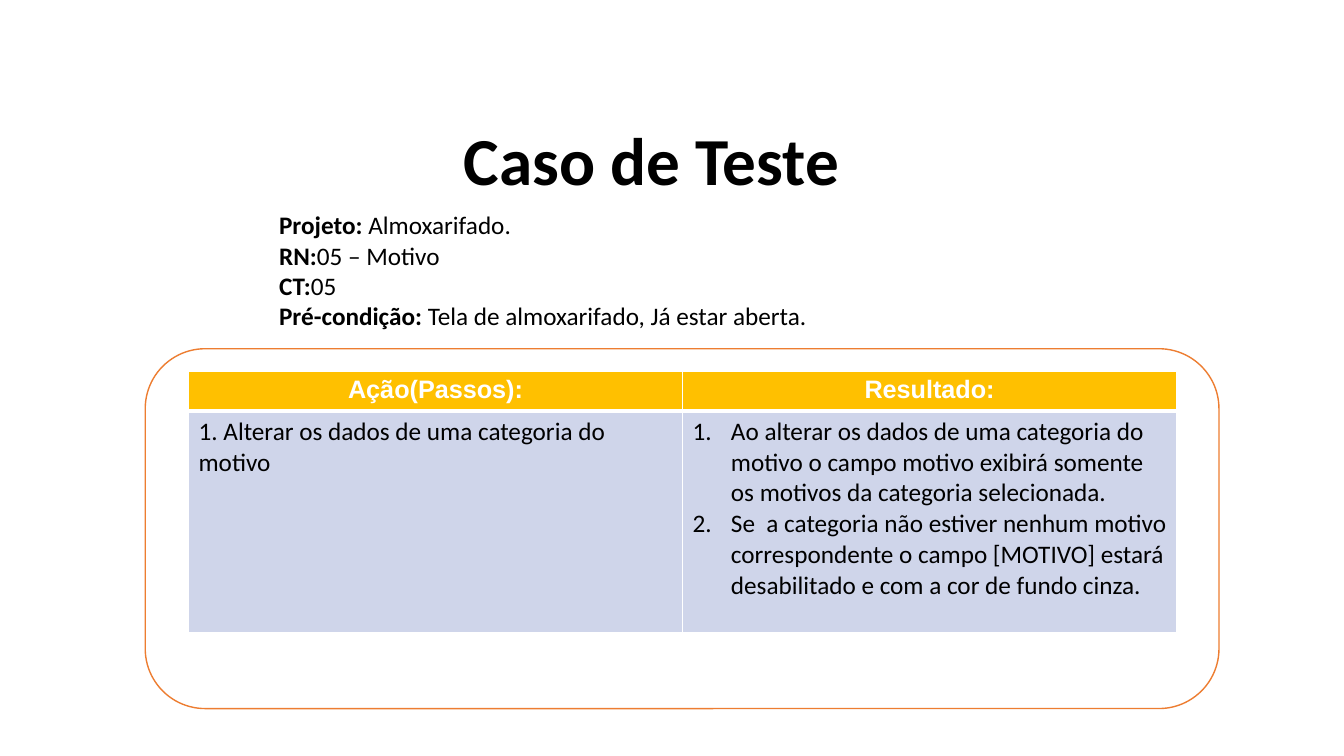
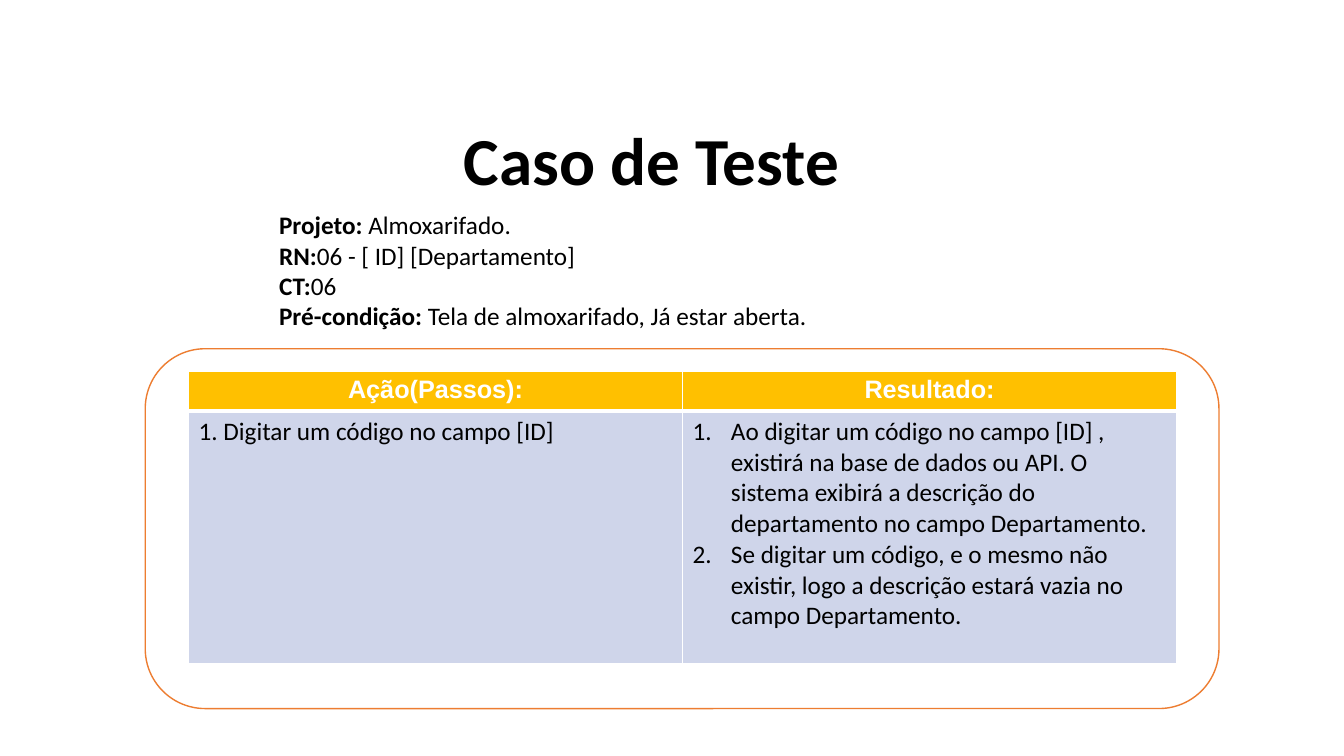
from dataclasses import dataclass

from lxml import etree
from pptx import Presentation
from pptx.dml.color import RGBColor
from pptx.enum.shapes import MSO_SHAPE
from pptx.enum.text import PP_ALIGN
from pptx.oxml.ns import qn
from pptx.util import Inches, Pt

ROUNDED = MSO_SHAPE.ROUNDED_RECTANGLE
LEFT, CENTER = PP_ALIGN.LEFT, PP_ALIGN.CENTER

TITLE = "Caso de Teste"
HEADERS = ("Ação(Passos):", "Resultado:")
PROJECT = "Almoxarifado."
PRECONDITION = "Tela de almoxarifado, Já estar aberta."
CASES = [
    {
        "rule": "05 – Motivo",
        "number": "05",
        "action": "1. Alterar os dados de uma categoria do motivo",
        "results": [
            "Ao alterar os dados de uma categoria do motivo o campo motivo "
            "exibirá somente os motivos da categoria selecionada.",
            "Se  a categoria não estiver nenhum motivo correspondente o campo "
            "[MOTIVO] estará desabilitado e com a cor de fundo cinza.",
        ],
        "body_height": 2.2,
    },
    {
        "rule": "06 - [ ID] [Departamento]",
        "number": "06",
        "action": "1. Digitar um código no campo [ID]",
        "results": [
            "Ao digitar um código no campo [ID] , existirá na base de dados ou "
            "API. O sistema exibirá a descrição do departamento no campo "
            "Departamento.",
            "Se digitar um código, e o mesmo não existir, logo a descrição "
            "estará vazia no campo Departamento.",
        ],
        "body_height": 2.5,
    },
]


@dataclass(frozen=True)
class Theme:
    text: str = "000000"
    white: str = "FFFFFF"
    outline: str = "ED7D31"
    header: str = "FFC000"
    body: str = "CFD5EA"
    font: str = "Calibri"
    header_font: str = "Arial"
    title_size: int = 48
    text_size: int = 18
    thin: int = 1
    thick: int = 3


THEME = Theme()
PANEL = (1.44, 3.46, 10.65, 3.57)
INFO = (2.67, 2.03, 8.4, 1.62)
TITLE_BOX = (4.5, 1.12, 4.48, 0.91)
TABLE_LEFT, TABLE_TOP, TABLE_WIDTH, HEADER_HEIGHT = 1.87, 3.68, 9.8, 0.39
LIST_INDENT = 0.38


def box(at):
    return [Inches(v) for v in at]


def rgb(value):
    return RGBColor.from_string(value)


def add_run(p, text, size=THEME.text_size, font=THEME.font, color=THEME.text, bold=False):
    r = p.add_run()
    r.text = text
    r.font.size, r.font.name, r.font.bold = Pt(size), font, bold
    r.font.color.rgb = rgb(color)


def write(tf, paragraphs, align=LEFT, **fmt):
    """Write paragraphs, each a list of (text, bold) runs."""
    tf.word_wrap = True
    for i, runs in enumerate(paragraphs):
        p = tf.add_paragraph() if i else tf.paragraphs[0]
        p.alignment = align
        for text, bold in runs:
            add_run(p, text, bold=bold, **fmt)


def number_paragraph(p):
    pPr = p._p.get_or_add_pPr()
    pPr.set("marL", str(Inches(LIST_INDENT)))
    pPr.set("indent", str(-Inches(LIST_INDENT)))
    etree.SubElement(pPr, qn("a:buAutoNum"), type="arabicPeriod")


def style_cell(cell, fill, top, bottom):
    cell.fill.solid()
    cell.fill.fore_color.rgb = rgb(fill)
    tcPr = cell._tc.get_or_add_tcPr()
    widths = {"lnL": THEME.thin, "lnR": THEME.thin, "lnT": top, "lnB": bottom}
    for i, (side, width) in enumerate(widths.items()):
        ln = etree.Element(qn("a:" + side), w=str(Pt(width)))
        solid = etree.SubElement(ln, qn("a:solidFill"))
        etree.SubElement(solid, qn("a:srgbClr"), val=THEME.white)
        tcPr.insert(i, ln)


def add_panel(slide):
    sp = slide.shapes.add_shape(ROUNDED, *box(PANEL))
    sp.shadow.inherit = False
    sp.fill.solid()
    sp.fill.fore_color.rgb = rgb(THEME.white)
    sp.line.color.rgb = rgb(THEME.outline)
    sp.line.width = Pt(THEME.thin)


def add_steps_table(slide, case):
    heights = (HEADER_HEIGHT, case["body_height"])
    at = (TABLE_LEFT, TABLE_TOP, TABLE_WIDTH, sum(heights))
    table = slide.shapes.add_table(2, len(HEADERS), *box(at)).table
    table.horz_banding = False
    for row, height in zip(table.rows, heights):
        row.height = Inches(height)

    columns = ([case["action"]], case["results"])
    for col, (header, lines) in enumerate(zip(HEADERS, columns)):
        table.columns[col].width = Inches(TABLE_WIDTH / len(HEADERS))
        head, body = table.cell(0, col), table.cell(1, col)
        style_cell(head, THEME.header, THEME.thin, THEME.thick)
        style_cell(body, THEME.body, THEME.thick, THEME.thin)
        write(head.text_frame, [[(header, True)]], align=CENTER,
              font=THEME.header_font, color=THEME.white)
        write(body.text_frame, [[(line, False)] for line in lines])
    for p in table.cell(1, 1).text_frame.paragraphs:
        number_paragraph(p)


def add_case(prs, case):
    slide = prs.slides.add_slide(prs.slide_layouts[6])
    add_panel(slide)
    info = (
        ("Projeto: ", PROJECT),
        ("RN:", case["rule"]),
        ("CT:", case["number"]),
        ("Pré-condição: ", PRECONDITION),
    )
    write(slide.shapes.add_textbox(*box(INFO)).text_frame,
          [[(label, True), (value, False)] for label, value in info])
    add_steps_table(slide, case)
    write(slide.shapes.add_textbox(*box(TITLE_BOX)).text_frame,
          [[(TITLE, True)]], size=THEME.title_size)


def main():
    prs = Presentation()
    prs.slide_width, prs.slide_height = Inches(13.33), Inches(7.5)
    for case in CASES:
        add_case(prs, case)
    prs.save("out.pptx")


if __name__ == "__main__":
    main()
